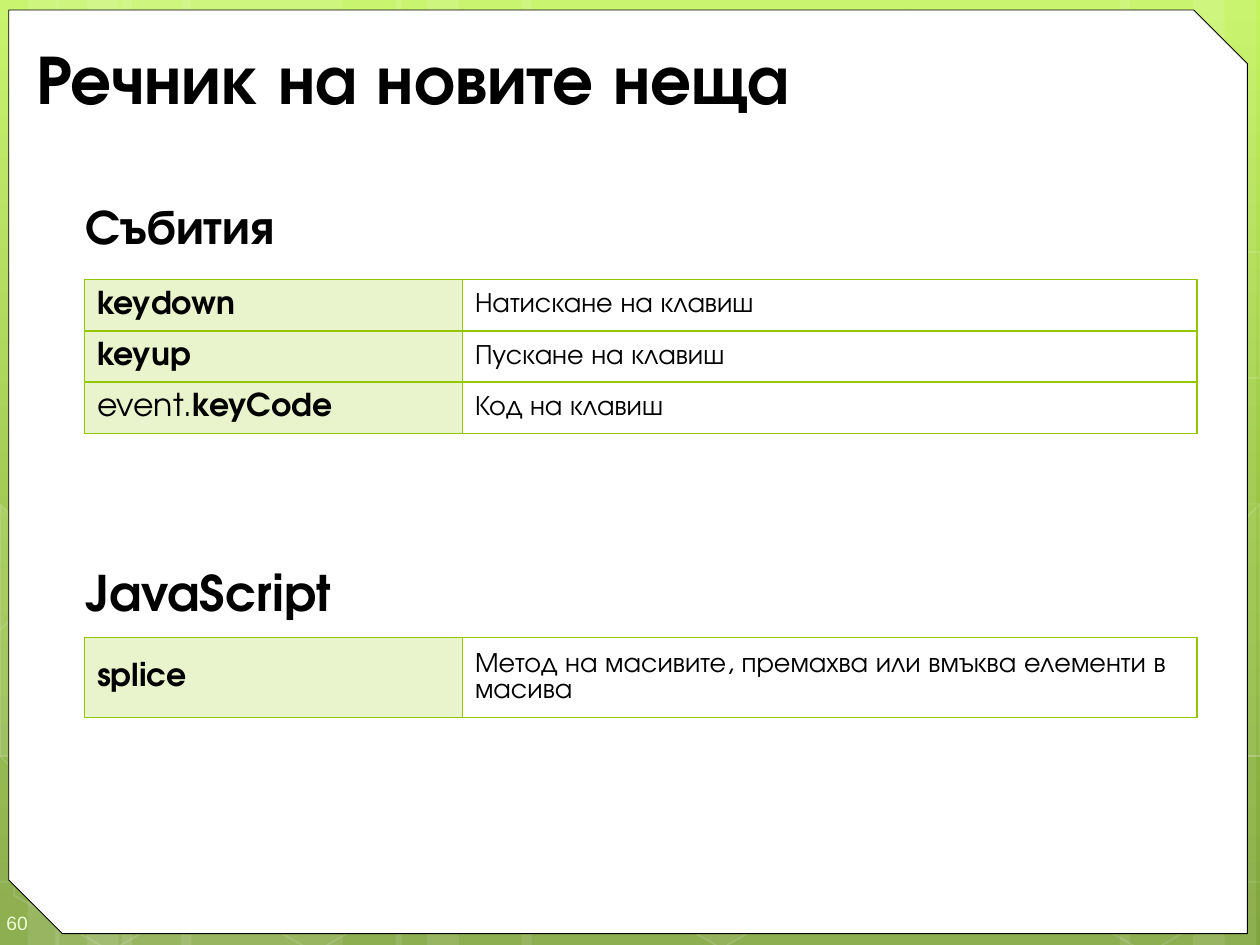
from lxml import etree
from pptx import Presentation
from pptx import util as u
from pptx.dml.color import RGBColor
from pptx.enum import shapes, text
from pptx.oxml import parse_xml
from pptx.oxml.ns import nsdecls, qn


def paint(fill, color, owner=None, alpha=100):
    fill.solid()
    fill.fore_color.rgb = RGBColor.from_string(color)
    if alpha < 100:
        newest = list(owner.iter(qn("a:srgbClr")))[-1]
        etree.SubElement(newest, qn("a:alpha")).set("val", str(alpha * 1000))


def write(para, words, size=16, bold=False, color="000000", face="TeX Gyre Adventor"):
    span = para.add_run()
    span.text = words
    span.font.name = face
    span.font.size = u.Pt(size)
    span.font.bold = bold
    paint(span.font.fill, color)


deck = Presentation()
deck.slide_width, deck.slide_height = u.Inches(10), u.Inches(7.5)
page = deck.slides.add_slide(deck.slide_layouts[6])
unit = deck.slide_width // 10
rows_high = 7.5

stops = "".join(
    f'<a:gs pos="{share * 1000}"><a:srgbClr val="{color}"/></a:gs>'
    for share, color in [(0, "C3F35F"), (62, "93BF3F"), (100, "81A53E")]
)
backdrop = parse_xml(
    f'<p:bg {nsdecls("p", "a")}><p:bgPr><a:gradFill rotWithShape="1"><a:gsLst>{stops}</a:gsLst>'
    '<a:lin ang="5400000" scaled="0"/></a:gradFill><a:effectLst/></p:bgPr></p:bg>'
)
page.element.cSld.insert(0, backdrop)

bands = [(0.97, 1.75), (-0.03, 0.5), (0.22, 0.83), (1.44, 1.75), (0.44, 0.5), (0.69, 0.83),
         (7.22, 1.75), (9.47, 0.5), (8.89, 0.83), (4.14, 3.08), (3.14, 0.5), (3.39, 0.83)]
for left, width in bands:
    band = page.shapes.add_shape(
        shapes.MSO_SHAPE.RECTANGLE, *[int(n * unit) for n in (left, 0, width, rows_high)])
    band.shadow.inherit = False
    paint(band.fill, "FFFFFF", band.element.spPr, 10)
    band.line.fill.background()

curves = [
    [(-0.04, 6.73), (0.5, 6.76), (1.04, 6.79), (1.79, 6.78), (2.54, 6.77), (3.46, 6.75),
     (4.47, 6.65), (5.47, 6.55), (6.89, 6.36), (7.8, 6.17), (8.72, 5.98), (9.66, 5.68),
     (9.96, 5.51)],
    [(-0.04, 4.77), (0.25, 4.61), (0.54, 4.46), (1.1, 4.31), (1.67, 4.16), (2.47, 3.94),
     (3.36, 3.87), (4.25, 3.8), (5.33, 3.79), (6.43, 3.87), (7.53, 3.95), (9.36, 4.26),
     (9.96, 4.34)],
    [(-0.05, 6.17), (1.15, 6.72), (2.36, 7.27), (3.23, 7.49)],
    [(-0.04, 5.78), (0.27, 5.89), (0.59, 6), (1.17, 6.16), (1.75, 6.31), (2.62, 6.56),
     (3.45, 6.73), (4.29, 6.9), (5.34, 7.08), (6.17, 7.18), (6.99, 7.29), (7.89, 7.33),
     (8.41, 7.36), (8.94, 7.4), (9.08, 7.38), (9.34, 7.38), (9.59, 7.37), (9.78, 7.35),
     (9.96, 7.34)],
    [(2.31, 7.49), (2.49, 7.29), (2.67, 7.09), (2.91, 6.91), (3.15, 6.73), (3.49, 6.53),
     (3.76, 6.39), (4.04, 6.25), (4.22, 6.19), (4.58, 6.09), (4.95, 5.99), (5.62, 5.85),
     (5.97, 5.78), (6.32, 5.71), (6.38, 5.71), (6.69, 5.69), (7, 5.66), (7.49, 5.63),
     (7.83, 5.62), (8.17, 5.61), (8.75, 5.62), (8.75, 5.62), (8.97, 5.62), (9.19, 5.62),
     (9.41, 5.62), (9.6, 5.63), (9.77, 5.64), (9.95, 5.66)],
]
for knots in curves:
    builder = page.shapes.build_freeform(*knots[0], scale=unit)
    builder.add_line_segments(knots[1:], close=False)
    curve = builder.convert_to_shape()
    segments = list(curve.element.iter(qn("a:lnTo")))
    for first in range(0, len(segments), 3):
        bend = etree.SubElement(segments[first].getparent(), qn("a:cubicBezTo"))
        for segment in segments[first:first + 3]:
            bend.append(segment[0])
            segment.getparent().remove(segment)
    curve.shadow.inherit = False
    curve.fill.background()
    paint(curve.line.fill, "FFFFFF", curve.element.spPr, 20)
    curve.line.width = u.Pt(0.5)

tiles = []
hexagons = [
    (3.25, 3.13, 10, 12), (4.04, 4.51, 0, 12), (4.05, 1.74, 7, 8), (3.23, 0.36, 4, 8),
    (4.85, 5.89, 6, 12), (0, 5.91, 0, 12), (0.03, 3.12, 7, 8), (0.82, 4.51, 0, 12),
    (1.62, 5.92, 0, 12), (1.65, 3.13, 7, 8), (0.84, 1.71, 0, 12), (7.42, 4.53, 10, 12),
    (8.23, 5.93, 0, 12), (8.23, 3.14, 7, 8),
]
for left, top, alpha, edge in hexagons:
    tile = page.shapes.add_shape(
        shapes.MSO_SHAPE.HEXAGON, *[int(n * unit) for n in (left, top, 1.75, 1.52)])
    tile.adjustments[0] = 0.285
    tile.rotation = 30
    tiles.append((tile, alpha, edge))
cut_tiles = [
    ([(-0.03, 4.45), (0.08, 4.38), (0.85, 4.82), (0.84, 5.7), (0.09, 6.14), (-0.03, 6.07)], 10),
    ([(9.15, 4.85), (9.9, 4.41), (9.97, 4.46), (9.98, 6.13), (9.91, 6.17), (9.14, 5.73)], 4),
    ([(9.15, 2.07), (9.9, 1.63), (9.98, 1.68), (9.98, 3.35), (9.91, 3.39), (9.14, 2.95)], 0),
]
for corners, alpha in cut_tiles:
    builder = page.shapes.build_freeform(*corners[0], scale=unit)
    builder.add_line_segments(corners[1:], close=True)
    tiles.append((builder.convert_to_shape(), alpha, 12))
for tile, alpha, edge in tiles:
    tile.shadow.inherit = False
    if alpha:
        paint(tile.fill, "FFFFFF", tile.element.spPr, alpha)
    else:
        tile.fill.background()
    paint(tile.line.fill, "FFFFFF", tile.element.spPr, edge)
    tile.line.width = u.Pt(1)

paper = page.shapes.add_shape(
    shapes.MSO_SHAPE.SNIP_2_DIAG_RECTANGLE, *[int(n * unit) for n in (0.07, 0.08, 9.83, 7.33)])
paper.adjustments[0], paper.adjustments[1] = 0, 0.058
paper.shadow.inherit = False
paint(paper.fill, "FFFFFF")
paint(paper.line.fill, "000000")
paper.line.width = u.Pt(0.5)

middle, upper = text.MSO_ANCHOR.MIDDLE, text.MSO_ANCHOR.TOP
labels = [
    (["60"], (0, 7.1, 0.58, 0.4), middle, (0.05, 0.15, 0, 0.1),
     dict(size=11, color="EEFFD6", face="Arial")),
    (["Речник на новите неща"], (0.19, 0.25, 9.47, 0.71), middle, (0.1, 0.05, 0.1, 0.05),
     dict(size=40, bold=True)),
    (["Събития", "JavaScript"], (0.5, 1.5, 9.42, 5.92), upper, (0.18, 0.05, 0.1, 0.05),
     dict(size=28, bold=True)),
]
for lines, place, anchor, insets, style in labels:
    box = page.shapes.add_textbox(*[int(n * unit) for n in place])
    frame = box.text_frame
    frame.word_wrap = True
    frame.vertical_anchor = anchor
    frame.margin_left, frame.margin_top, frame.margin_right, frame.margin_bottom = [
        int(n * unit) for n in insets]
    write(frame.paragraphs[0], lines[0], **style)
    for words in lines[1:]:
        para = frame.add_paragraph()
        para.space_before = u.Pt(176)
        write(para, words, **style)

glossaries = [
    (5.06, 0.51, [([("splice", True)], "Метод на масивите, премахва или вмъква елементи в масива")]),
    (2.22, 1.22, [
        ([("keydown", True)], "Натискане на клавиш"),
        ([("keyup", True)], "Пускане на клавиш"),
        ([("event.", False), ("keyCode", True)], "Код на клавиш"),
    ]),
]
for top, height, entries in glossaries:
    table = page.shapes.add_table(
        len(entries), 2, *[int(n * unit) for n in (0.67, top, 8.83, height)]).table
    table.first_row = table.horz_banding = False
    table.columns[0].width, table.columns[1].width = int(3 * unit), int(5.83 * unit)
    for index, (term, meaning) in enumerate(entries):
        name, note = table.cell(index, 0), table.cell(index, 1)
        for words, bold in term:
            write(name.text_frame.paragraphs[0], words, size=18, bold=bold)
        write(note.text_frame.paragraphs[0], meaning)
        paint(name.fill, "94C600", name._tc.tcPr, 20)
        note.fill.background()
        for cell in (name, note):
            cell.vertical_anchor = middle
            for place, side in enumerate(("lnL", "lnR", "lnT", "lnB")):
                cell._tc.tcPr.insert(place, parse_xml(
                    f'<a:{side} {nsdecls("a")} w="12700"><a:solidFill><a:srgbClr val="94C600"/>'
                    f'</a:solidFill></a:{side}>'))

deck.save("out.pptx")
